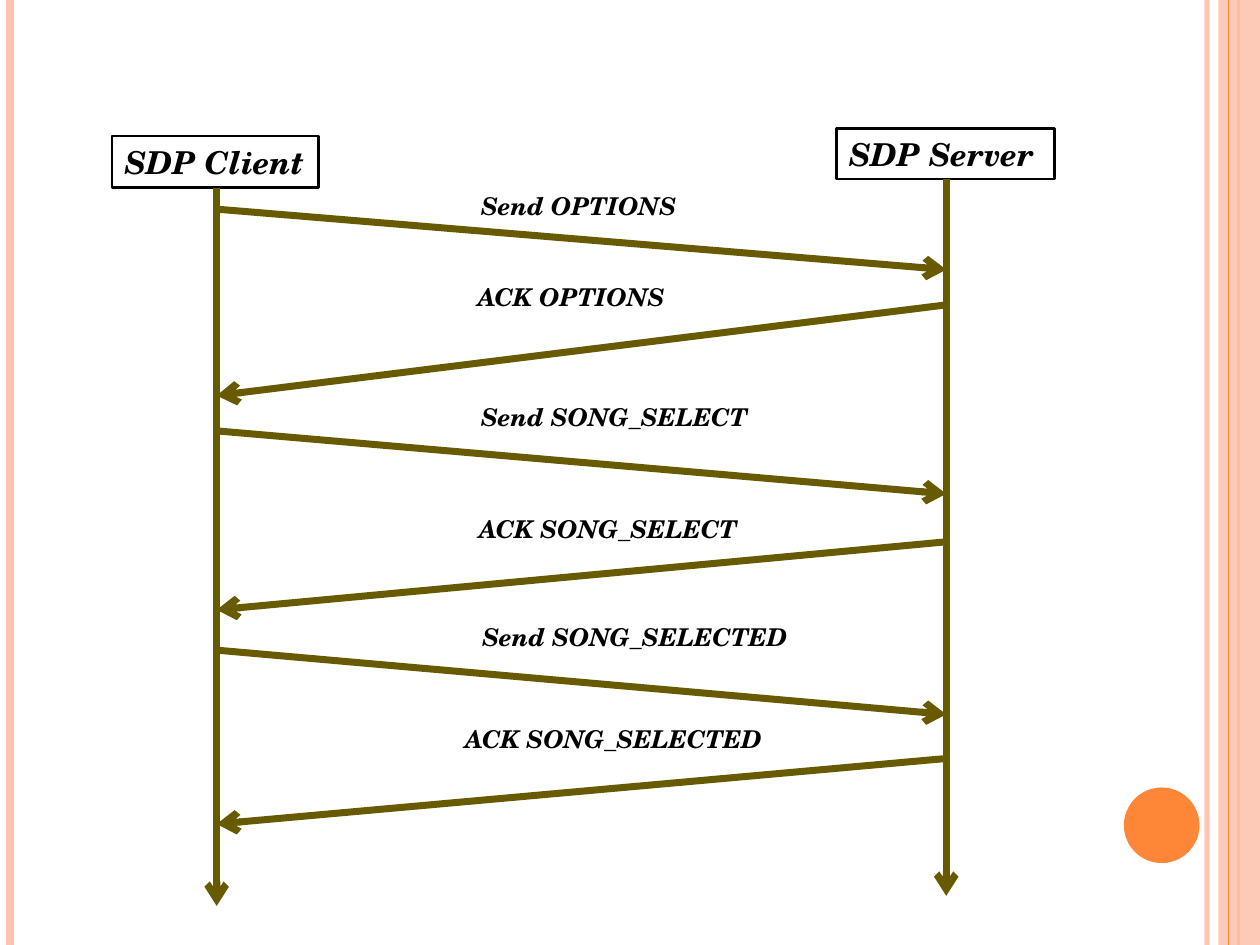
from lxml import etree
from pptx import Presentation
from pptx.dml.color import RGBColor
from pptx.enum.shapes import MSO_CONNECTOR, MSO_SHAPE
from pptx.enum.text import MSO_ANCHOR, MSO_AUTO_SIZE, PP_ALIGN
from pptx.oxml.ns import qn
from pptx.util import Inches, Pt

STRAIGHT = MSO_CONNECTOR.STRAIGHT
RECTANGLE, OVAL = MSO_SHAPE.RECTANGLE, MSO_SHAPE.OVAL
LEFT, TOP, MIDDLE = PP_ALIGN.LEFT, MSO_ANCHOR.TOP, MSO_ANCHOR.MIDDLE
GROW = MSO_AUTO_SIZE.SHAPE_TO_FIT_TEXT

FONT = "TeX Gyre Schola"
COLORS = {"peach": "FEC3AE", "orange": "FE8637", "olive": "675A00", "ink": "000000"}
WIDTH, HEIGHT = 10, 7.5
CLIENT_X, SERVER_X = 1.72, 7.51

STRIPES_BEHIND = [(9.58, "peach", 3, 93), (0.08, "peach", 4.5, 100), (9.83, "orange", 1.5, 100)]
STRIPE_FRONT = (9.75, "orange", 0.75, 100)
BAND = (9.67, 0, 0.33, HEIGHT)
DOT = (8.92, 6.25, 0.6, 0.6)

PARTICIPANTS = [
    ("SDP Server", (6.64, 1.02, 1.73, 0.4), SERVER_X, 7.11),
    ("SDP Client", (0.89, 1.08, 1.64, 0.41), CLIENT_X, 7.19),
]
MESSAGES = [
    ("Send OPTIONS", (3.72, 1.47, 2.42), 1.66, 2.14),
    ("ACK OPTIONS", (3.69, 2.19, 2.42), 2.42, 3.14),
    ("Send SONG_SELECT", (3.72, 3.14, 2.42), 3.42, 3.92),
    ("ACK SONG_SELECT", (3.7, 4.03, 2.42), 4.3, 4.84),
    ("Send SONG_SELECTED", (3.73, 4.89, 2.83), 5.16, 5.67),
    ("ACK SONG_SELECTED", (3.59, 5.7, 2.7), 6.02, 6.54),
]
LABEL_HEIGHT = 0.34

deck = Presentation()
deck.slide_width, deck.slide_height = Inches(WIDTH), Inches(HEIGHT)
slide = deck.slides.add_slide(deck.slide_layouts[6])
shapes = slide.shapes


def rgb(name):
    return RGBColor.from_string(COLORS[name])


def set_alpha(owner, percent):
    if percent < 100:
        color = next(owner.iter(qn("a:srgbClr")))
        etree.SubElement(color, qn("a:alpha"), val=str(percent * 1000))


def add_line(start, end, color, width, alpha=100, arrow=False):
    line = shapes.add_connector(STRAIGHT, *map(Inches, start + end))
    line.line.color.rgb = rgb(color)
    line.line.width = Pt(width)
    properties = line.element.spPr
    set_alpha(properties, alpha)
    if arrow:
        etree.SubElement(properties.find(qn("a:ln")), qn("a:tailEnd"), type="arrow")
    etree.SubElement(properties, qn("a:effectLst"))


def add_stripe(x, color, width, alpha):
    add_line((x, 0), (x, HEIGHT), color, width, alpha)


def add_filled(kind, place, color, alpha=100):
    block = shapes.add_shape(kind, *map(Inches, place))
    block.shadow.inherit = False
    block.fill.solid()
    block.fill.fore_color.rgb = rgb(color)
    block.line.fill.background()
    set_alpha(block.element.spPr, alpha)


def write(holder, words, size, anchor):
    frame = holder.text_frame
    frame.word_wrap = True
    frame.auto_size = GROW
    frame.vertical_anchor = anchor
    paragraph = frame.paragraphs[0]
    paragraph.alignment = LEFT
    run = paragraph.add_run()
    run.text = words
    run.font.name = FONT
    run.font.size = Pt(size)
    run.font.bold = run.font.italic = True
    run.font.color.rgb = rgb("ink")


for stripe in STRIPES_BEHIND:
    add_stripe(*stripe)
add_filled(RECTANGLE, BAND, "peach", 87)
add_stripe(*STRIPE_FRONT)
add_filled(OVAL, DOT, "orange")

for name, place, lifeline_x, lifeline_end in PARTICIPANTS:
    box = shapes.add_shape(RECTANGLE, *map(Inches, place))
    box.shadow.inherit = False
    box.fill.background()
    box.line.color.rgb = rgb("ink")
    box.line.width = Pt(1.5)
    write(box, name, 18, MIDDLE)
    box_bottom = place[1] + place[3]
    add_line((lifeline_x, box_bottom), (lifeline_x, lifeline_end), "olive", 4, arrow=True)

for index, (words, label_place, start_y, end_y) in enumerate(MESSAGES):
    start_x, end_x = (SERVER_X, CLIENT_X) if index % 2 else (CLIENT_X, SERVER_X)
    add_line((start_x, start_y), (end_x, end_y), "olive", 4, arrow=True)
    label = shapes.add_textbox(*map(Inches, label_place + (LABEL_HEIGHT,)))
    write(label, words, 14, TOP)

deck.save("out.pptx")
